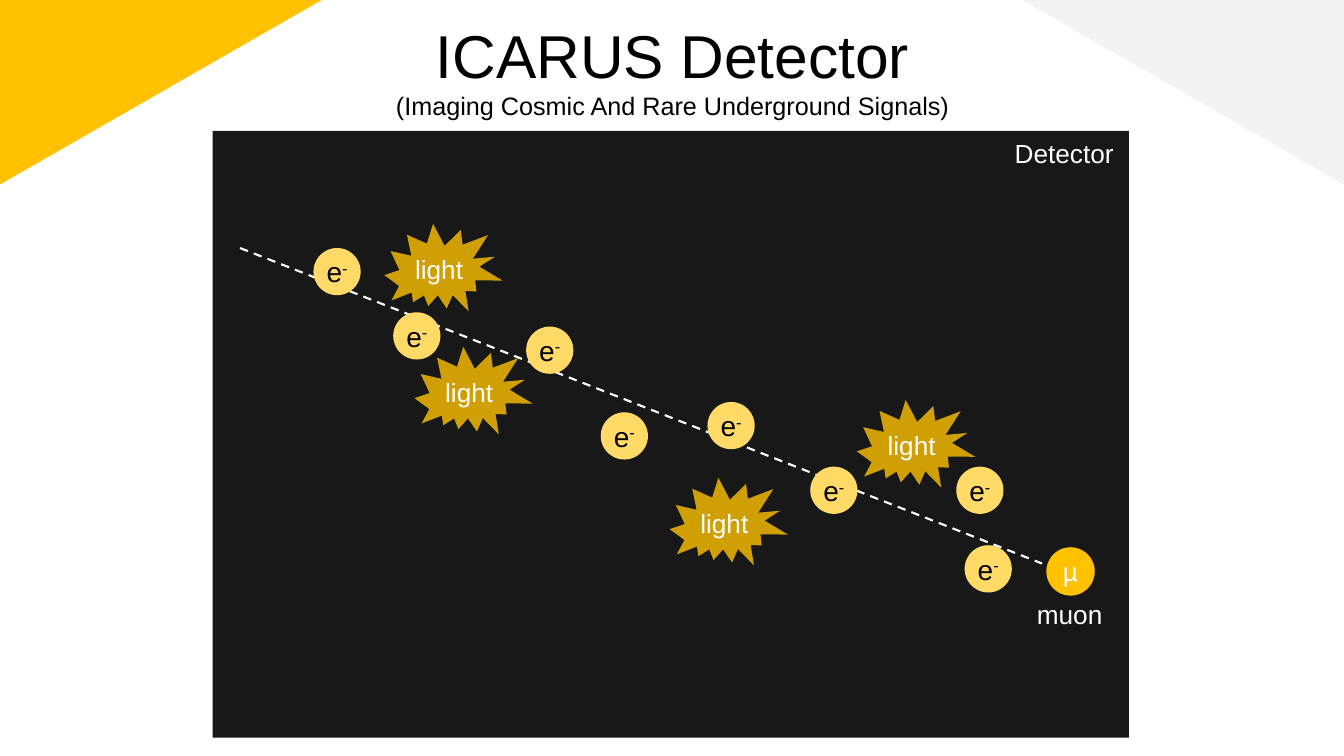
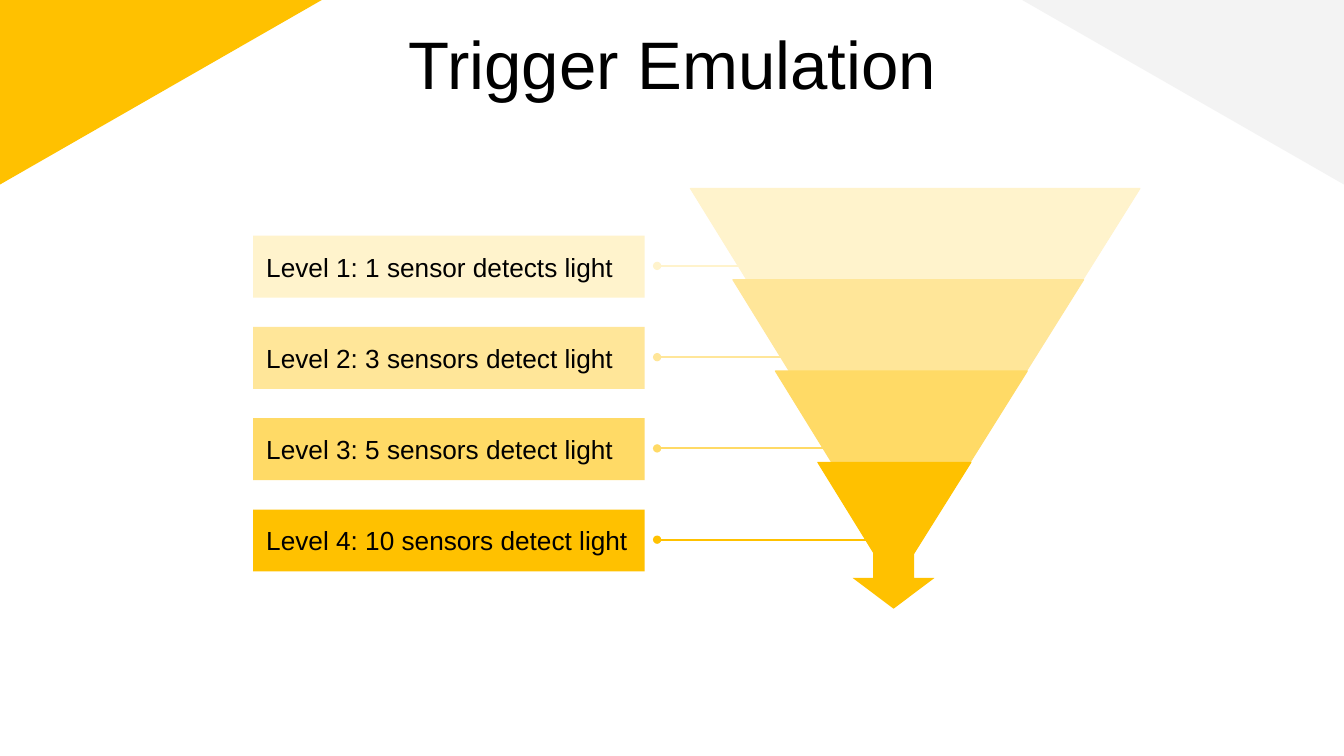
"""Build two slides on the ICARUS detector and its trigger emulation."""
from lxml.etree import SubElement as Sub
from pptx import Presentation
from pptx.dml.color import RGBColor
from pptx.enum.dml import MSO_LINE
from pptx.enum.shapes import MSO_CONNECTOR as Link, MSO_SHAPE as Kind
from pptx.enum.text import MSO_ANCHOR as Anchor, PP_ALIGN as Align
from pptx.oxml.ns import qn
from pptx.util import Cm, Pt

GOLD, AMBER, SAND, CREAM = "FFC100", "FFDA66", "FFE699", "FFF3CC"
GREY, DARK, WHITE, BLACK = "F3F3F3", "181818", "FFFFFF", "000000"
BODY = 18.7


def paint(shape, hue):
    """Colour a shape or a connector and drop its shadow."""
    color = RGBColor.from_string(hue)
    if hasattr(shape, "fill"):
        shape.fill.solid()
        shape.fill.fore_color.rgb = color
        shape.line.fill.background()
        shape.shadow.inherit = False
    else:
        shape.line.color.rgb = color
        shape.line.width = Pt(1.5)
        Sub(shape.element.spPr, qn("a:effectLst"))
    return shape


def write(shape, text, size, hue, align=Align.CENTER, inset=0):
    """Add a run to the first paragraph of a shape."""
    frame = shape.text_frame
    frame.margin_left = frame.margin_right = Cm(inset)
    frame.margin_top = frame.margin_bottom = Cm(inset / 2)
    para = frame.paragraphs[0]
    para.alignment = align
    run = para.add_run()
    run.text = text
    run.font.name = "Arial"
    run.font.size = Pt(size)
    run.font.color.rgb = RGBColor.from_string(hue)
    return run


deck = Presentation()
deck.slide_width, deck.slide_height = Cm(33.87), Cm(19.05)

pages = []
for title, size, top in [("ICARUS Detector", 43.2, 0.45), ("Trigger Emulation", 48, 0.56)]:
    page = deck.slides.add_slide(deck.slide_layouts[6]).shapes
    for left, hue, flip in [(0, GOLD, "1"), (25.76, GREY, "0")]:
        wedge = paint(page.add_shape(Kind.RIGHT_TRIANGLE, Cm(left), 0, Cm(8.11), Cm(4.65)), hue)
        wedge.rotation = 180
        wedge.element.spPr.xfrm.set("flipH", flip)
    head = page.add_textbox(Cm(1.95), Cm(top), Cm(30), Cm(2.13))
    head.text_frame.word_wrap = True
    write(head, title, size, BLACK)
    pages.append((page, head))

page, head = pages[0]
head.text_frame.paragraphs[0].add_line_break()
write(head, "(Imaging Cosmic And Rare Underground Signals)", 18, BLACK)

paint(page.add_shape(Kind.RECTANGLE, Cm(5.36), Cm(3.3), Cm(23.09), Cm(15.29)), DARK)
track = paint(page.add_connector(Link.STRAIGHT, Cm(6.05), Cm(6.25), Cm(26.26), Cm(14.2)), WHITE)
track.line.dash_style = MSO_LINE.DASH

balls = [(7.9, 6.25), (24.1, 11.76), (9.91, 7.87), (13.26, 8.23),
         (15.14, 10.39), (17.83, 10.13), (24.31, 13.74), (20.42, 11.76)]
for left, top in balls:
    ball = paint(page.add_shape(Kind.OVAL, Cm(left), Cm(top), Cm(1.19), Cm(1.19)), AMBER)
    ball.text_frame.vertical_anchor = Anchor.MIDDLE
    write(ball, "e", 20, BLACK)
    sign = write(ball, "-", 20, BLACK)
    sign.font._element.set("baseline", "30000")

muon = paint(page.add_shape(Kind.OVAL, Cm(26.37), Cm(13.79), Cm(1.22), Cm(1.22)), GOLD)
muon.text_frame.vertical_anchor = Anchor.MIDDLE
write(muon, "µ", BODY, WHITE)

labels = [("muon", 25.88, 14.96, 2.18), ("Detector", 25.32, 3.33, 3.02)]
for left, top in [(16.97, 11.89), (9.78, 5.49), (21.69, 9.93), (10.54, 8.59)]:
    flash = paint(page.add_shape(Kind.EXPLOSION2, Cm(left), Cm(top), Cm(2.82), Cm(2.64)), GOLD)
    flash.rotation = 29.9
    tint = flash.element.spPr.find(qn("a:solidFill"))[0]
    Sub(tint, qn("a:alpha"), val="80000")
    labels.append(("light", left + 0.43, top + 0.76, 1.73))

for text, left, top, width in labels:
    label = page.add_textbox(Cm(left), Cm(top), Cm(width), Cm(1.07))
    label.text_frame.word_wrap = False
    write(label, text, BODY, WHITE, Align.LEFT, 0.25)

page, head = pages[1]
levels = [("Level 1: 1 sensor detects light", CREAM), ("Level 2: 3 sensors detect light", SAND),
          ("Level 3: 5 sensors detect light", AMBER), ("Level 4: 10 sensors detect light", GOLD)]
STEP = 2.3
for i, (text, hue) in enumerate(levels):
    top = 4.75 + STEP * i
    left = 17.4 + 1.07 * i
    right = 28.73 - 1.42 * i

    lead = paint(page.add_connector(Link.STRAIGHT, Cm(16.56), Cm(top + 1.95),
                                    Cm(left + 2), Cm(top + 1.95)), hue)
    Sub(lead.element.spPr.find(qn("a:ln")), qn("a:headEnd"), type="oval")

    path = page.build_freeform(Cm(left), Cm(top))
    path.add_line_segments([(Cm(left + 1.42), Cm(top + STEP)),
                            (Cm(right - 1.44), Cm(top + STEP)), (Cm(right), Cm(top))])
    layer = paint(path.convert_to_shape(), hue)
    layer.line.color.rgb = RGBColor.from_string(hue)
    layer.line.width = Pt(0.75)

    band = paint(page.add_shape(Kind.RECTANGLE, Cm(6.38), Cm(top + 1.19), Cm(9.87), Cm(1.56)), hue)
    band.text_frame.vertical_anchor = Anchor.MIDDLE
    write(band, text, BODY, BLACK, Align.LEFT, 0.33)

paint(page.add_shape(Kind.DOWN_ARROW, Cm(21.49), Cm(13.79), Cm(2.06), Cm(1.55)), GOLD)

deck.save("out.pptx")
